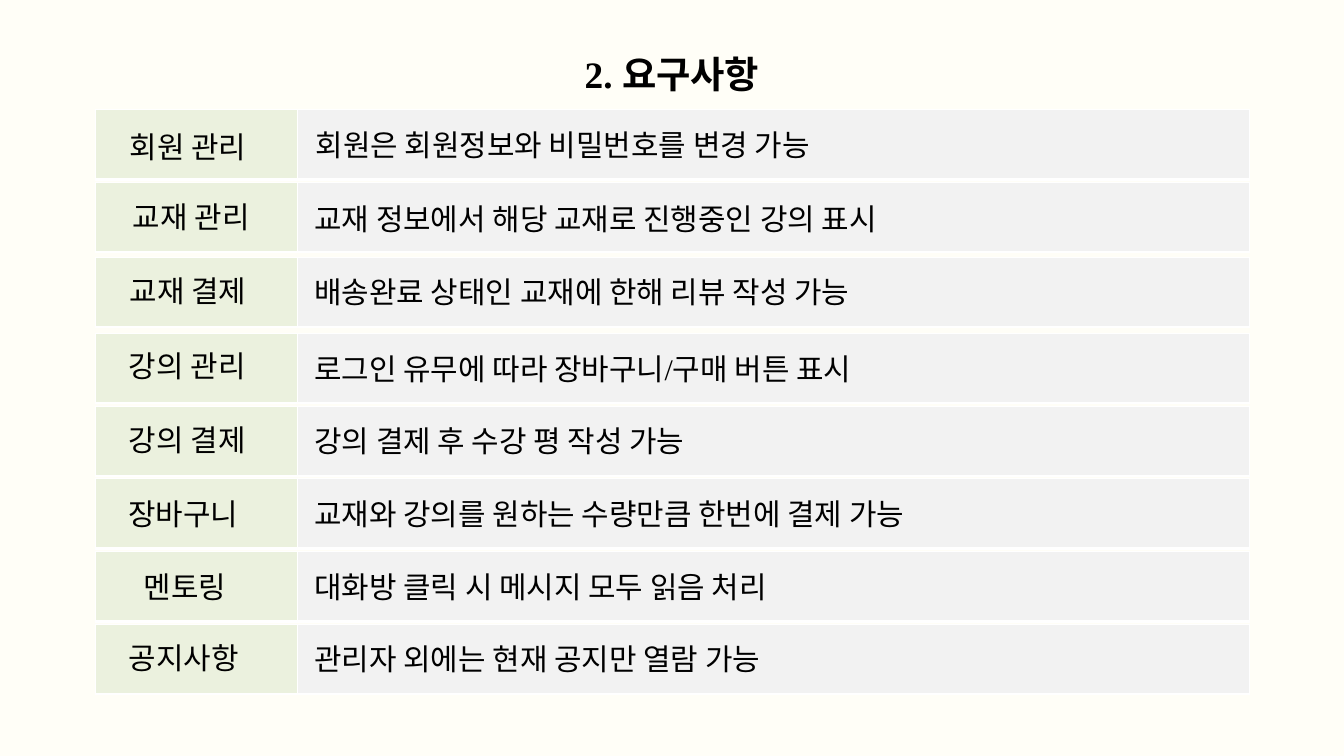
from lxml import etree
from pptx import Presentation
from pptx import util as u
from pptx.dml.color import RGBColor
from pptx.enum import text
from pptx.oxml import ns

TITLE = "2. 요구사항"
# top of band, (label, left, top), (detail, left, top)
ROWS = [
    (1.63, ("회원 관리", 1.83, 1.87), ("회원은 회원정보와 비밀번호를 변경 가능", 4.6, 1.84)),
    (2.71, ("교재 관리", 1.88, 2.9), ("교재 정보에서 해당 교재로 진행중인 강의 표시", 4.58, 2.93)),
    (3.83, ("교재 결제", 1.83, 4.01), ("배송완료 상태인 교재에 한해 리뷰 작성 가능", 4.58, 4.02)),
    (4.96, ("강의 관리", 1.82, 5.12), ("로그인 유무에 따라 장바구니/구매 버튼 표시", 4.58, 5.17)),
    (6.04, ("강의 결제", 1.82, 6.23), ("강의 결제 후 수강 평 작성 가능", 4.58, 6.24)),
    (7.12, ("장바구니", 1.81, 7.33), ("교재와 강의를 원하는 수량만큼 한번에 결제 가능", 4.58, 7.33)),
    (8.21, ("멘토링", 2.04, 8.41), ("대화방 클릭 시 메시지 모두 읽음 처리", 4.58, 8.41)),
    (9.29, ("공지사항", 1.82, 9.47), ("관리자 외에는 현재 공지만 열람 가능", 4.58, 9.49)),
]
COLS = (3, 14.17)
LEFT, BAND, LINE = 1.42, 1.04, 0.64
LABEL_W, DETAIL_W = 3, 13.75
FONT = "Times New Roman"
IVORY = RGBColor(0xFF, 0xFE, 0xF7)
GREEN = RGBColor(0xEB, 0xF1, 0xDE)
GRAY = RGBColor(0xF2, 0xF2, 0xF2)
WHITE = RGBColor(0xFF, 0xFF, 0xFF)
BLACK = RGBColor(0, 0, 0)
EDGES = (("a:lnL", 1), ("a:lnR", 1), ("a:lnT", 1), ("a:lnB", 3))


def add_text(slide, words, x, y, w, h=LINE, size=32, bold=False, align=None):
    box = slide.shapes.add_textbox(*map(u.Inches, (x, y, w, h)))
    frame = box.text_frame
    frame.word_wrap = True
    frame.auto_size = text.MSO_AUTO_SIZE.SHAPE_TO_FIT_TEXT
    para = frame.paragraphs[0]
    para.text = words
    para.alignment = align
    font = para.font
    font.name, font.size, font.bold = FONT, u.Pt(size), bold
    font.color.rgb = BLACK


def add_edges(cell):
    props = cell._tc.get_or_add_tcPr()
    for i, (tag, width) in enumerate(EDGES):
        line = etree.Element(ns.qn(tag), w=str(u.Pt(width)))
        fill = etree.SubElement(line, ns.qn("a:solidFill"))
        etree.SubElement(fill, ns.qn("a:srgbClr"), val=str(WHITE))
        props.insert(i, line)


def add_band(slide, top):
    size = map(u.Inches, (LEFT, top, sum(COLS), BAND))
    table = slide.shapes.add_table(1, len(COLS), *size).table
    table.first_row = table.horz_banding = False
    for i, (width, color) in enumerate(zip(COLS, (GREEN, GRAY))):
        table.columns[i].width = u.Inches(width)
        cell = table.cell(0, i)
        cell.fill.solid()
        cell.fill.fore_color.rgb = color
        add_edges(cell)


def main():
    deck = Presentation()
    deck.slide_width, deck.slide_height = u.Inches(20), u.Inches(11.25)
    slide = deck.slides.add_slide(deck.slide_layouts[6])
    slide.background.fill.solid()
    slide.background.fill.fore_color.rgb = IVORY

    add_text(slide, TITLE, 6.76, 0.71, 6.48, 0.77, 40, True, text.PP_ALIGN.CENTER)
    for top, label, detail in ROWS:
        add_band(slide, top)
        add_text(slide, *label, LABEL_W)
        add_text(slide, *detail, DETAIL_W)
    deck.save("out.pptx")


if __name__ == "__main__":
    main()
